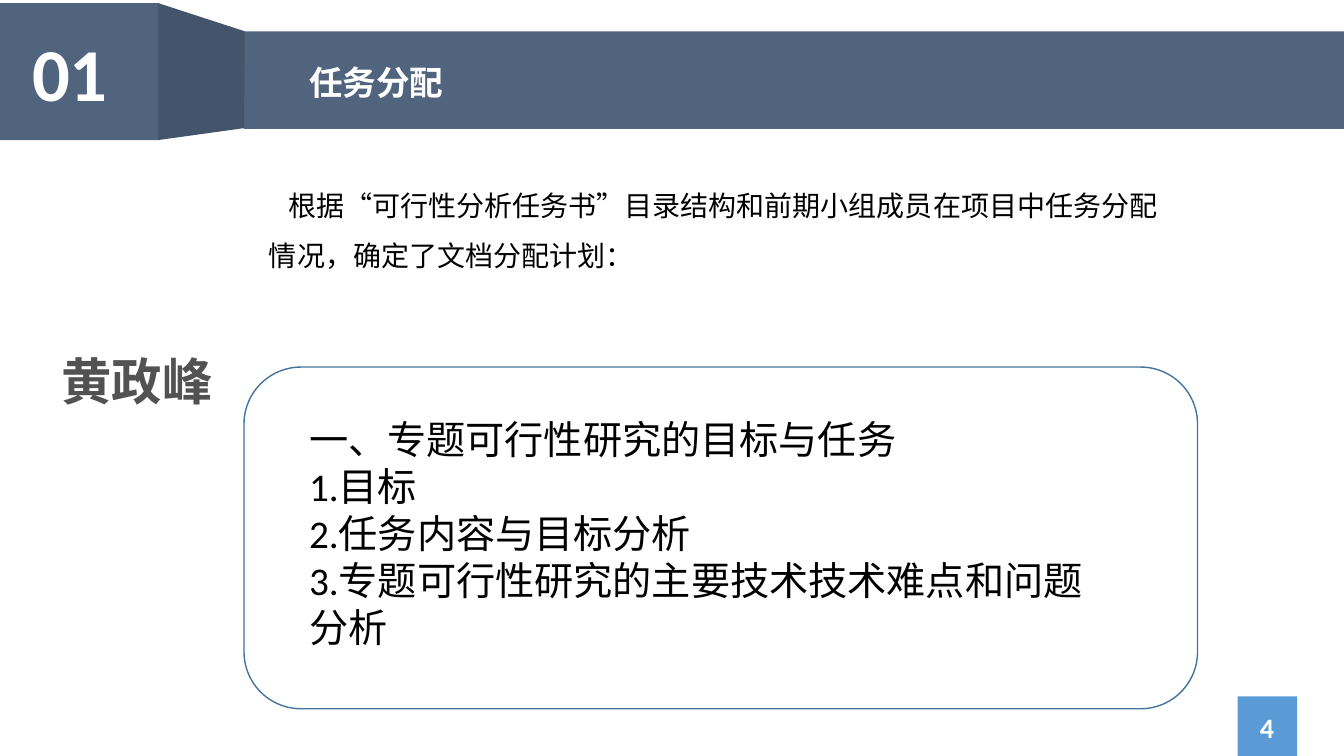
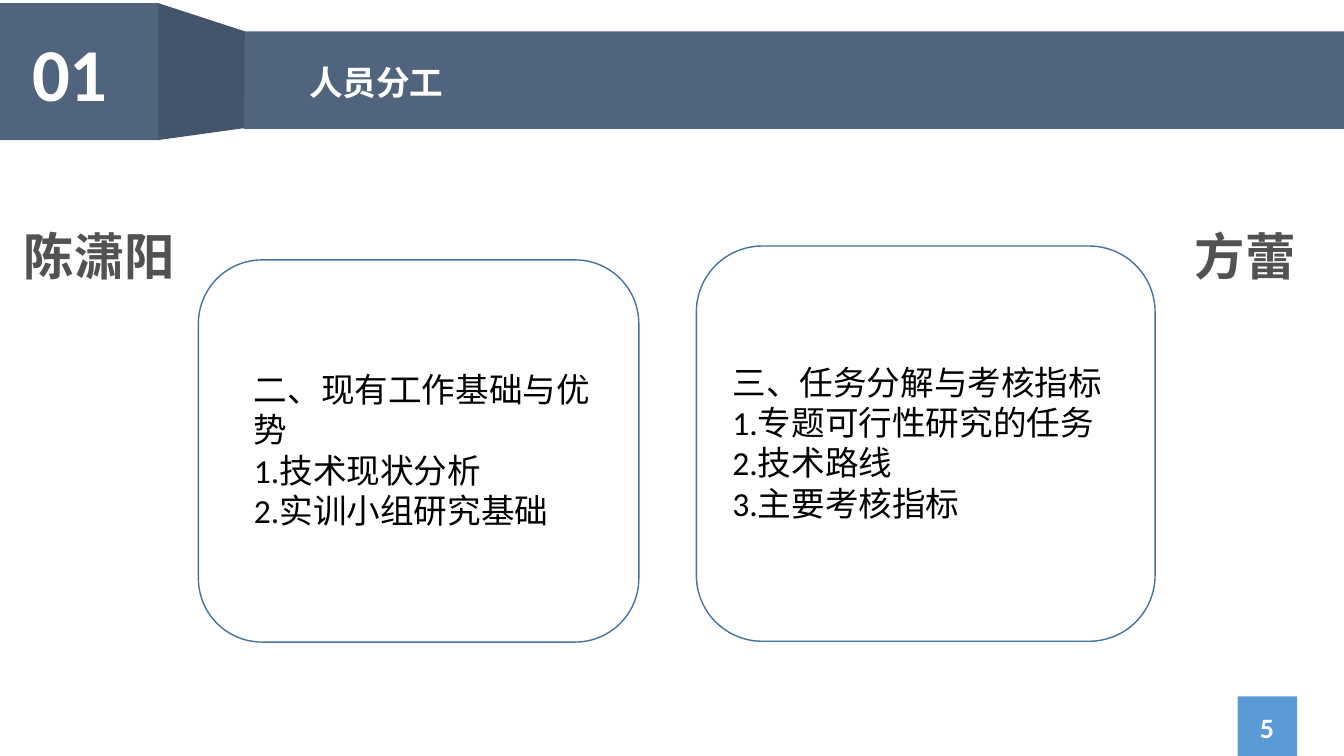
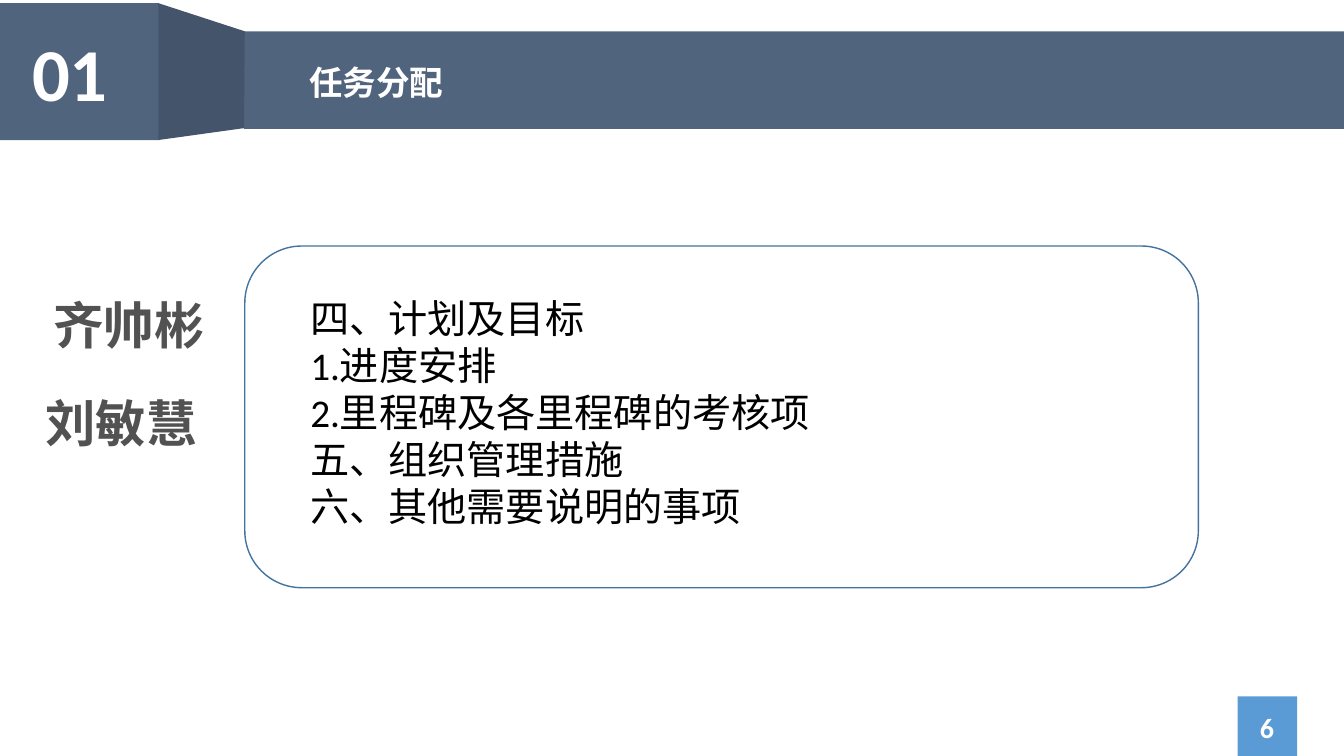
"""Build three slides that show who writes which part of the feasibility study."""
from dataclasses import dataclass, field
from typing import Any

import pptx
import pptx.dml.color
import pptx.enum.shapes
import pptx.enum.text
import pptx.oxml
import pptx.oxml.ns
import pptx.util

Cm = pptx.util.Cm
Pt = pptx.util.Pt
MSO_SHAPE = pptx.enum.shapes.MSO_SHAPE
PP_ALIGN = pptx.enum.text.PP_ALIGN
MSO_ANCHOR = pptx.enum.text.MSO_ANCHOR
MSO_AUTO_SIZE = pptx.enum.text.MSO_AUTO_SIZE

Box = tuple[float, float, float, float]

LATIN, CJK = "Calibri", "Noto Sans CJK SC"
WHITE, BLACK, GREY = "FFFFFF", "000000", "525252"
SLATE, FOLD, BLUE, OUTLINE = "51647E", "44546A", "5B9BD5", "43739E"
FOLD_POINTS = [(3.99, 0.08), (6.17, 0.79), (6.15, 3.23), (3.99, 3.53)]
FIRST_PAGE = 4


@dataclass(frozen=True)
class Style:
    size: float
    color: str = BLACK
    font: str = LATIN
    bold: bool = False
    para: dict[str, Any] = field(default_factory=dict)
    frame: dict[str, Any] = field(default_factory=dict)
    indent: float = 0


@dataclass(frozen=True)
class Label:
    box: Box
    lines: list[str]
    style: Style


@dataclass(frozen=True)
class Page:
    title: str
    cards: list[Box]
    labels: list[Label]


NUMBER = Style(53.3, WHITE, bold=True, frame={"word_wrap": False})
TITLE = Style(24, WHITE, CJK, True, {"line_spacing": 1.3})
PAGE_NUMBER = Style(20, WHITE, bold=True, para={"alignment": PP_ALIGN.CENTER},
                    frame={"vertical_anchor": MSO_ANCHOR.MIDDLE,
                           "auto_size": MSO_AUTO_SIZE.NONE})
NAME = Style(36, GREY, CJK, True, {"alignment": PP_ALIGN.CENTER})
INTRO = Style(20, para={"line_spacing": 1.5}, indent=0.48)
TASKS = Style(28)
SMALL_TASKS = Style(24)

PAGES = [
    Page("任务分配", [(6.15, 9.25, 24.03, 8.61)], [
        Label((0.76, 8.71, 5.38, 1.8), ["黄政峰"], NAME),
        Label((6.53, 4.19, 23.44, 2.82),
              ["根据“可行性分析任务书”目录结构和前期小组成员在项目中任务分配情况，确定了文档分配计划："],
              INTRO),
        Label((7.54, 10.34, 20.68, 7.44),
              ["一、专题可行性研究的目标与任务", "1.目标", "2.任务内容与目标分析",
               "3.专题可行性研究的主要技术技术难点和问题分析"], TASKS),
    ]),
    Page("人员分工", [(5, 6.55, 11.1, 9.63), (17.55, 6.2, 11.56, 9.96)], [
        Label((0.23, 5.54, 4.55, 1.8), ["陈潇阳"], NAME),
        Label((29.11, 5.56, 4.55, 1.8), ["方蕾"], NAME),
        Label((6.15, 9.17, 9.35, 4.37),
              ["二、现有工作基础与优势", "1.技术现状分析", "2.实训小组研究基础"], SMALL_TASKS),
        Label((18.21, 8.99, 10.24, 4.37),
              ["三、任务分解与考核指标", "1.专题可行性研究的任务", "2.技术路线", "3.主要考核指标"],
              SMALL_TASKS),
    ]),
    Page("任务分配", [(6.17, 6.2, 24.03, 8.61)], [
        Label((0.56, 7.29, 5.38, 1.8), ["齐帅彬"], NAME),
        Label((0.36, 9.75, 5.38, 1.8), ["刘敏慧"], NAME),
        Label((7.57, 7.29, 20.68, 6.25),
              ["四、计划及目标", "1.进度安排", "2.里程碑及各里程碑的考核项",
               "五、组织管理措施", "六、其他需要说明的事项"], TASKS),
    ]),
]


def rgb(value: str) -> Any:
    return pptx.dml.color.RGBColor.from_string(value)


def apply(target: Any, values: dict[str, Any]) -> None:
    for key, value in values.items():
        setattr(target, key, value)


def paint(sp: Any, fill: str, line: str | None = None) -> None:
    sp.shadow.inherit = False
    sp.fill.solid()
    sp.fill.fore_color.rgb = rgb(fill)
    if line:
        sp.line.color.rgb = rgb(line)
        sp.line.width = Pt(1)
    else:
        sp.line.fill.background()


def add_block(slide: Any, kind: Any, box: Box, fill: str, line: str | None = None) -> None:
    paint(slide.shapes.add_shape(kind, *map(Cm, box)), fill, line)


def add_label(slide: Any, label: Label) -> None:
    style = label.style
    tf = slide.shapes.add_textbox(*map(Cm, label.box)).text_frame
    apply(tf, {"word_wrap": True, "auto_size": MSO_AUTO_SIZE.SHAPE_TO_FIT_TEXT} | style.frame)
    for i, line in enumerate(label.lines):
        p = tf.add_paragraph() if i else tf.paragraphs[0]
        apply(p, style.para)
        if style.indent:
            p._p.get_or_add_pPr().set("indent", str(Cm(style.indent)))
        r = p.add_run()
        r.text = line
        apply(r.font, {"size": Pt(style.size), "bold": style.bold, "name": style.font})
        r.font.color.rgb = rgb(style.color)
        ea = pptx.oxml.parse_xml(f'<a:ea {pptx.oxml.ns.nsdecls("a")} typeface="{CJK}"/>')
        r._r.get_or_add_rPr().append(ea)


def add_header(slide: Any, title: str) -> None:
    add_block(slide, MSO_SHAPE.RECTANGLE, (6.15, 0.79, 27.72, 2.46), SLATE)
    add_block(slide, MSO_SHAPE.RECTANGLE, (0, 0.08, 4.01, 3.45), SLATE)
    start, *rest = [(Cm(x), Cm(y)) for x, y in FOLD_POINTS]
    fb = slide.shapes.build_freeform(*start)
    fb.add_line_segments(rest, close=True)
    paint(fb.convert_to_shape(), FOLD)
    add_label(slide, Label((0.56, 0.56, 2.44, 2.54), ["01"], NUMBER))
    add_label(slide, Label((7.54, 1.12, 24.82, 1.45), [title], TITLE))


def add_footer(slide: Any, number: int) -> None:
    add_block(slide, MSO_SHAPE.RECTANGLE, (31.19, 17.55, 1.5, 1.5), BLUE)
    add_label(slide, Label((30, 17.81, 3.86, 1.02), [str(number)], PAGE_NUMBER))


def main() -> None:
    prs = pptx.Presentation()
    apply(prs, {"slide_width": Cm(33.87), "slide_height": Cm(19.05)})
    for number, page in enumerate(PAGES, FIRST_PAGE):
        slide = prs.slides.add_slide(prs.slide_layouts[6])
        add_header(slide, page.title)
        add_footer(slide, number)
        for box in page.cards:
            add_block(slide, MSO_SHAPE.FLOWCHART_ALTERNATE_PROCESS, box, WHITE, OUTLINE)
        for label in page.labels:
            add_label(slide, label)
    prs.save("out.pptx")


if __name__ == "__main__":
    main()
